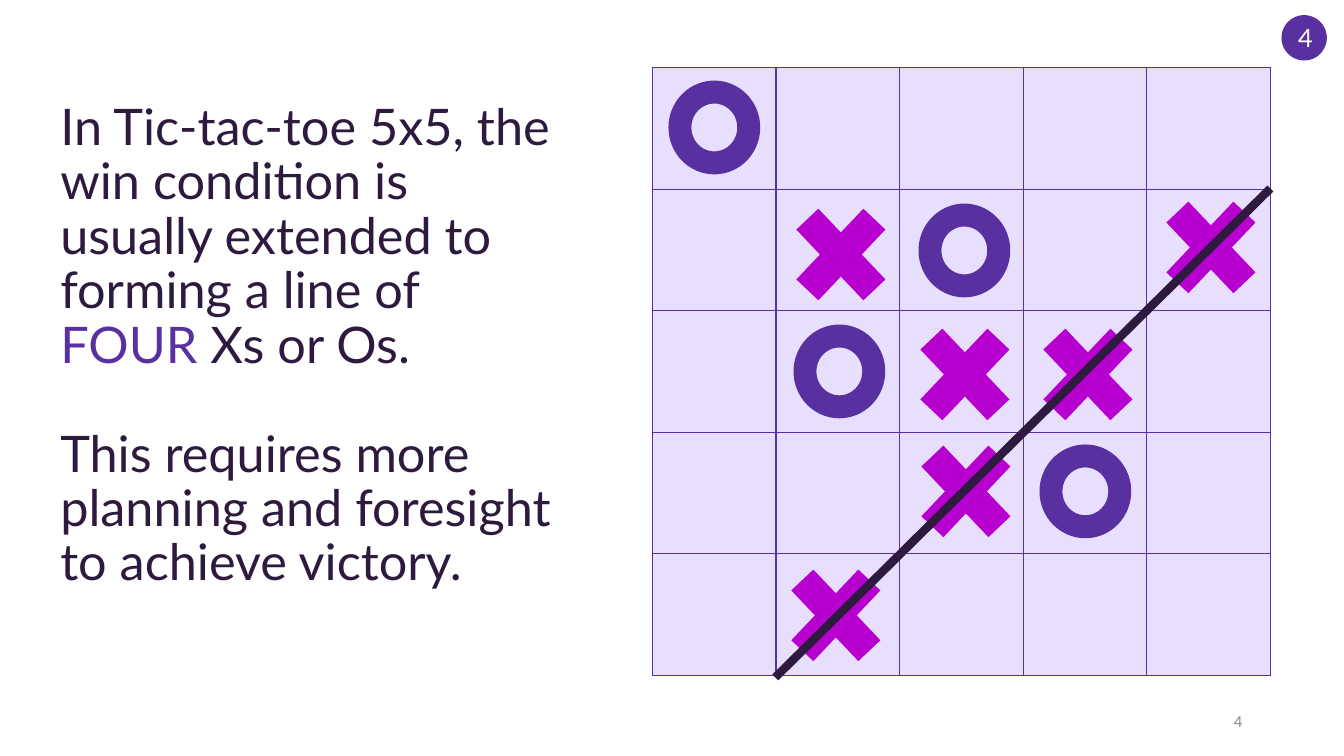
from lxml.etree import SubElement
from pptx import Presentation
from pptx.dml.color import RGBColor
from pptx.enum.shapes import MSO_CONNECTOR, MSO_SHAPE
from pptx.enum.text import MSO_ANCHOR, PP_ALIGN
from pptx.oxml.ns import qn
from pptx.util import Emu, Pt

PX = 9144  # 100 px to the inch
COLORS = {
    "ink": "2D1A3E",
    "purple": "5830A0",
    "magenta": "B700D0",
    "lilac": "E7DFFD",
    "grey": "8C8C8C",
    "white": "FFFFFF",
}
GRID_SIZE = 5


def color(name):
    return RGBColor.from_string(COLORS[name])


def add_filled_shape(kind, box, fill):
    shape = slide.shapes.add_shape(kind, *(Emu(n * PX) for n in box))
    shape.shadow.inherit = False
    shape.fill.solid()
    shape.fill.fore_color.rgb = color(fill)
    shape.line.fill.background()
    return shape


presentation = Presentation()
presentation.slide_width = Emu(1333 * PX)
presentation.slide_height = Emu(750 * PX)
slide = presentation.slides.add_slide(presentation.slide_layouts[6])

# Explanation
explanation = slide.shapes.add_textbox(*(Emu(n * PX) for n in (50, 96, 517, 672)))
explanation.text_frame.word_wrap = True
paragraphs = [
    [
        ("In Tic-tac-toe 5x5, the win condition is usually extended to forming a line of ", "ink"),
        ("FOUR ", "purple"),
        ("Xs or Os.", "ink"),
    ],
    [("This requires more planning and foresight to achieve victory.", "ink")],
]
for index, runs in enumerate(paragraphs):
    if index == 0:
        paragraph = explanation.text_frame.paragraphs[0]
    else:
        paragraph = explanation.text_frame.add_paragraph()
        paragraph.space_before = Pt(39)
    paragraph.line_spacing = 0.9
    paragraph.font.size = Pt(36)
    paragraph.font.name = "Lato"
    for text, ink in runs:
        run = paragraph.add_run()
        run.text = text
        run.font.color.rgb = color(ink)

# Board
board = slide.shapes.add_table(
    GRID_SIZE, GRID_SIZE, *(Emu(n * PX) for n in (647, 67, 613, 603))
).table
board.first_row = False
board.horz_banding = False
for cell in board.iter_cells():
    properties = cell._tc.get_or_add_tcPr()
    for side in ("a:lnL", "a:lnR", "a:lnT", "a:lnB"):
        border = SubElement(properties, qn(side), w=str(Pt(1)))
        border_fill = SubElement(border, qn("a:solidFill"))
        SubElement(border_fill, qn("a:srgbClr"), val=COLORS["purple"])
    cell.fill.solid()
    cell.fill.fore_color.rgb = color("lilac")

# Moves
for left, top in [(663, 80), (911, 202), (787, 322), (1031, 441)]:
    add_filled_shape(MSO_SHAPE.DONUT, (left, top, 91, 93), "purple")
for left, top in [(770, 185), (893, 304), (1015, 304), (1137, 178), (894, 420), (765, 543)]:
    add_filled_shape(MSO_SHAPE.MATH_MULTIPLY, (left, top, 128, 135), "magenta")

# Winning line
winning_line = slide.shapes.add_connector(
    MSO_CONNECTOR.STRAIGHT, *(Emu(n * PX) for n in (1260, 187, 769, 672))
)
winning_line.line.color.rgb = color("ink")
winning_line.line.width = Pt(6)
SubElement(winning_line._element.spPr, qn("a:effectLst"))

# Slide numbers
footer = slide.shapes.add_textbox(*(Emu(n * PX) for n in (942, 695, 300, 40)))
badge = add_filled_shape(MSO_SHAPE.OVAL, (1271, 15, 45, 45), "purple")
for shape, alignment, size, font_name, ink in [
    (footer, PP_ALIGN.RIGHT, 12, "Calibri", "grey"),
    (badge, PP_ALIGN.CENTER, 18, "Lato", "white"),
]:
    frame = shape.text_frame
    frame.word_wrap = True
    frame.vertical_anchor = MSO_ANCHOR.MIDDLE
    paragraph = frame.paragraphs[0]
    paragraph.text = "4"
    paragraph.alignment = alignment
    paragraph.font.size = Pt(size)
    paragraph.font.name = font_name
    paragraph.font.color.rgb = color(ink)

presentation.save("out.pptx")
